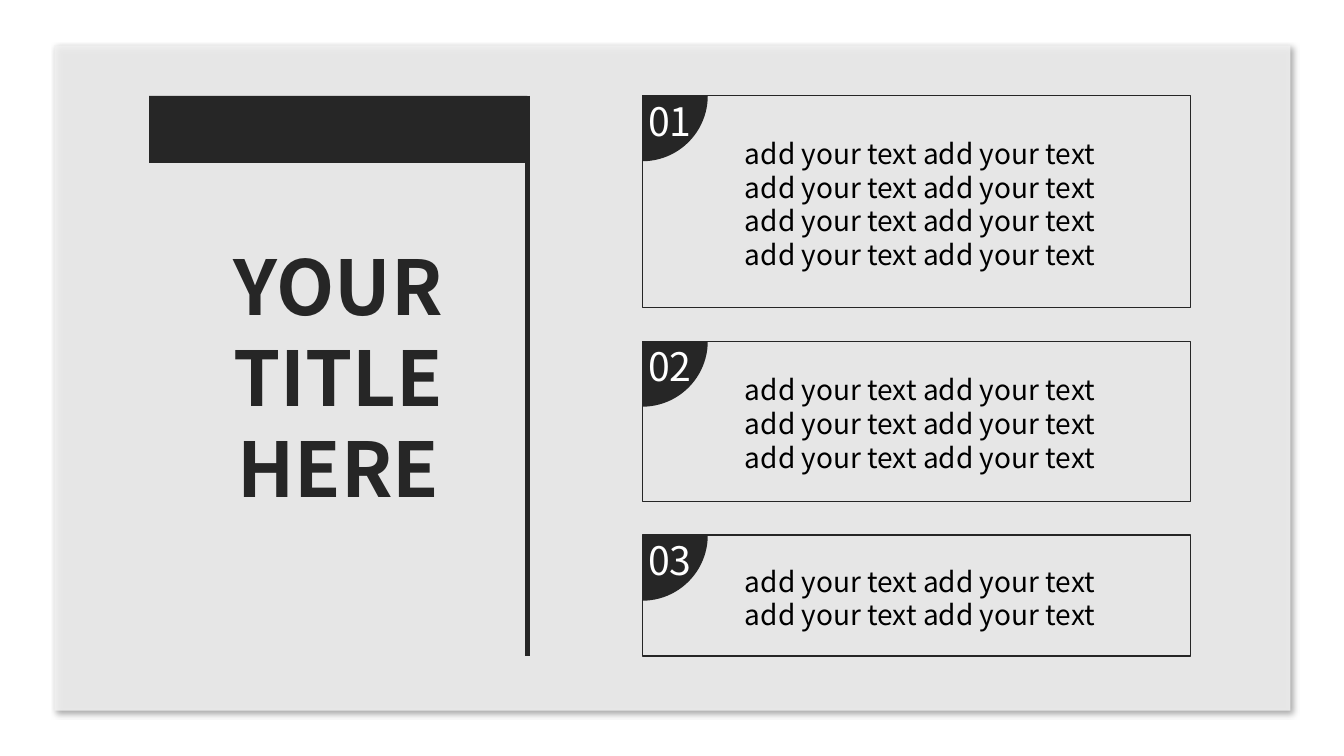
from dataclasses import dataclass

from lxml import etree
from pptx import Presentation
from pptx.dml.color import RGBColor
from pptx.enum.shapes import MSO_CONNECTOR, MSO_SHAPE
from pptx.enum.text import MSO_ANCHOR, PP_ALIGN
from pptx.oxml.ns import qn
from pptx.util import Inches, Pt

RECTANGLE, PIE = MSO_SHAPE.RECTANGLE, MSO_SHAPE.PIE
STRAIGHT = MSO_CONNECTOR.STRAIGHT
CENTER, MIDDLE = PP_ALIGN.CENTER, MSO_ANCHOR.MIDDLE


@dataclass(frozen=True)
class Theme:
    """Colours, font, type sizes and line widths of the slide."""
    font: str = "Noto Sans CJK SC"
    dark: RGBColor = RGBColor(0x26, 0x26, 0x26)
    panel: RGBColor = RGBColor(0xF2, 0xF2, 0xF2)
    white: RGBColor = RGBColor(0xFF, 0xFF, 0xFF)
    black: RGBColor = RGBColor(0, 0, 0)
    title: int = 54
    number: int = 28
    body: int = 20
    leading: float = 1.2
    frame: float = 1
    rule: float = 3.75


@dataclass(frozen=True)
class Box:
    """A region of the slide in inches."""
    left: float
    top: float
    width: float
    height: float

    def lengths(self):
        """Return the four lengths for python-pptx."""
        return [Inches(value) for value in (self.left, self.top, self.width, self.height)]


THEME = Theme()
CARD_LINE = "add your text add your text"
CARDS = [("01", 2.1, 4), ("02", 1.59, 3), ("03", 1.2, 2)]


def add_block(slide, kind, box, fill=None, outline=None):
    """Add a preset shape with an optional fill and outline."""
    shape = slide.shapes.add_shape(kind, *box.lengths())
    shape.shadow.inherit = False
    if fill is None:
        shape.fill.background()
    else:
        shape.fill.solid()
        shape.fill.fore_color.rgb = fill
    if outline is None:
        shape.line.fill.background()
    else:
        shape.line.color.rgb = outline
        shape.line.width = Pt(THEME.frame)
    return shape


def add_text(slide, box, text, size, color, bold=False):
    """Add centred text in the middle of a box."""
    text_frame = slide.shapes.add_textbox(*box.lengths()).text_frame
    text_frame.word_wrap = True
    text_frame.vertical_anchor = MIDDLE
    text_frame.text = text
    for paragraph in text_frame.paragraphs:
        paragraph.alignment = CENTER
        paragraph.line_spacing = Pt(size * THEME.leading)
        for run in paragraph.runs:
            run.font.name = THEME.font
            run.font.size = Pt(size)
            run.font.bold = bold
            run.font.color.rgb = color


def add_panel(slide, box):
    """Add the translucent background panel with its drop shadow."""
    panel = add_block(slide, RECTANGLE, box, fill=THEME.panel)
    properties = panel._element.spPr
    fill_color = properties.find(qn("a:solidFill"))[0]
    etree.SubElement(fill_color, qn("a:alpha"), val="85000")
    effects = properties.find(qn("a:effectLst"))
    shadow = etree.SubElement(
        effects, qn("a:outerShdw"), blurRad=str(Pt(4)), dist=str(Pt(3)),
        dir="2700000", algn="tl", rotWithShape="0")
    shadow_color = etree.SubElement(shadow, qn("a:srgbClr"), val="000000")
    etree.SubElement(shadow_color, qn("a:alpha"), val="40000")


def add_title(slide, box):
    """Add the title region with its top bar and right-hand rule."""
    right = box.left + box.width
    rule = slide.shapes.add_connector(
        STRAIGHT, Inches(right), Inches(box.top),
        Inches(right), Inches(box.top + box.height))
    rule.line.color.rgb = THEME.dark
    rule.line.width = Pt(THEME.rule)
    etree.SubElement(rule._element.spPr, qn("a:effectLst"))
    bar = Box(box.left, box.top, box.width, box.height * 0.12)
    add_block(slide, RECTANGLE, bar, fill=THEME.dark)
    margin = 0.5
    title = Box(box.left + margin, box.top + 1.37, box.width - 2 * margin, 2.83)
    add_text(slide, title, "YOUR TITLE HERE", THEME.title, THEME.dark, bold=True)


def add_card(slide, box, number, line_count):
    """Add a framed card with a numbered quarter disc in its corner."""
    radius = 0.65
    add_block(slide, RECTANGLE, box, outline=THEME.dark)
    disc = Box(box.left - radius, box.top - radius, 2 * radius, 2 * radius)
    quarter = add_block(slide, PIE, disc, fill=THEME.dark)
    quarter.adjustments[0], quarter.adjustments[1] = 0, 54
    label = Box(box.left - 0.28, box.top - 0.04, 1.11, 0.57)
    add_text(slide, label, number, THEME.number, THEME.white)
    height = 0.1 + line_count * THEME.body * THEME.leading / 72
    body = Box(box.left + radius, box.top + (box.height - height) / 2 + 0.02, 4.21, height)
    add_text(slide, body, "\n".join([CARD_LINE] * line_count), THEME.body, THEME.black)


def add_cards(slide, box):
    """Stack the cards in a box with equal gaps."""
    gap = (box.height - sum(height for _, height, _ in CARDS)) / (len(CARDS) - 1)
    top = box.top
    for number, height, line_count in CARDS:
        add_card(slide, Box(box.left, top, box.width, height), number, line_count)
        top += height + gap


def main():
    """Build the slide and save it."""
    presentation = Presentation()
    presentation.slide_width = Inches(13.33)
    presentation.slide_height = Inches(7.5)
    slide = presentation.slides.add_slide(presentation.slide_layouts[6])
    top, height = 0.95, 5.56
    add_panel(slide, Box(0.54, 0.45, 12.26, 6.6))
    add_title(slide, Box(1.48, top, 3.75, height))
    add_cards(slide, Box(6.37, top, 5.44, height))
    presentation.save("out.pptx")


if __name__ == "__main__":
    main()
